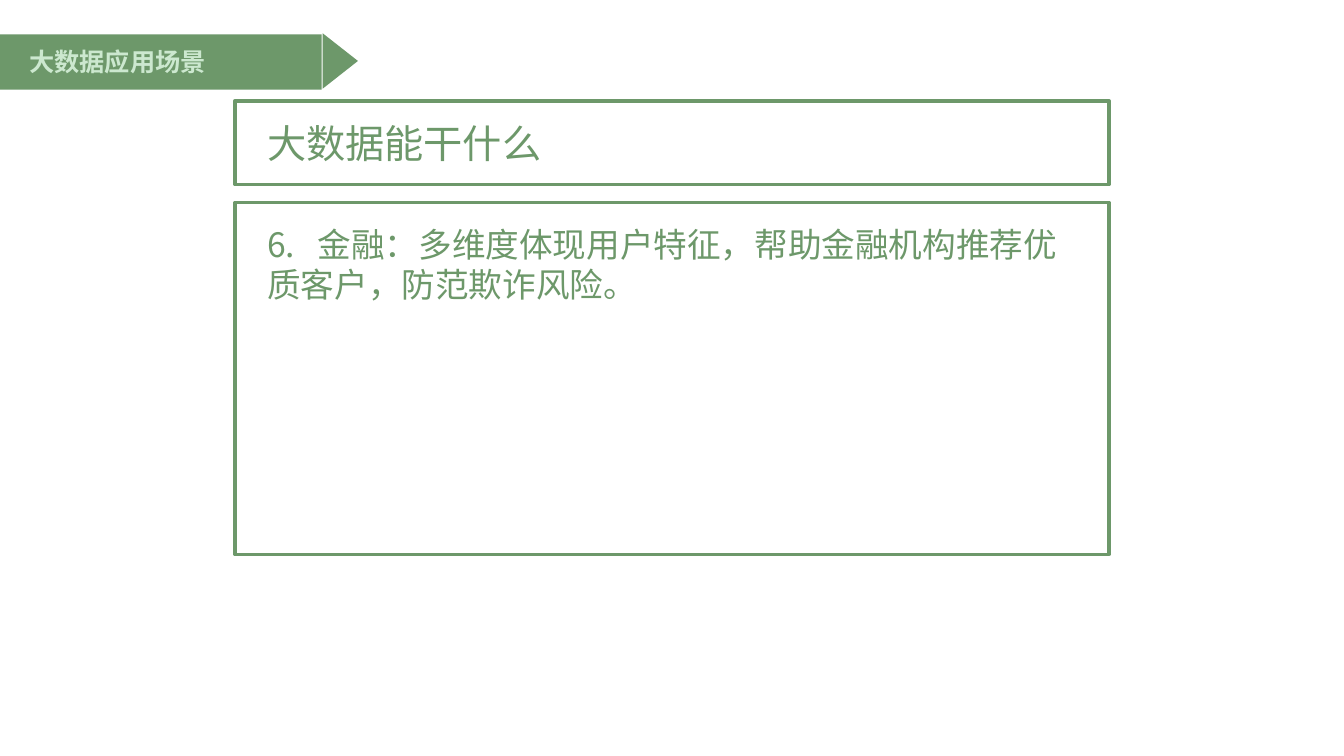
"""Build the slide on big data application scenarios in finance."""
from lxml import etree
from pptx import Presentation
from pptx.dml.color import RGBColor
from pptx.enum.shapes import MSO_SHAPE
from pptx.enum.text import MSO_ANCHOR, MSO_AUTO_SIZE, PP_ALIGN
from pptx.oxml.ns import qn
from pptx.util import Inches, Pt

RECT, TRIANGLE = MSO_SHAPE.RECTANGLE, MSO_SHAPE.ISOSCELES_TRIANGLE
TOP, MIDDLE = MSO_ANCHOR.TOP, MSO_ANCHOR.MIDDLE
LEFT, NO_FIT = PP_ALIGN.LEFT, MSO_AUTO_SIZE.NONE

FONT = "Noto Sans CJK SC"
COLORS = {"green": "6D986A", "mint": "CCE8CF"}
BANNER = "大数据应用场景"
TITLE = "大数据能干什么"
BODY = "6.\t金融：多维度体现用户特征，帮助金融机构推荐优质客户，防范欺诈风险。"
NUMBER_TAB = 0.43

BANNER_PARTS = [(RECT, (0, 0.34, 3.19, 0.55), 0), (TRIANGLE, (3.1, 0.43, 0.55, 0.35), 90)]
BANNER_BOX = (0.24, 0.41, 2.71, 0.4)
TITLE_BOX = (2.6, 1.13, 6.87, 0.57)
BODY_BOX = (2.6, 2.17, 8.19, 0.91)
FRAMES = [(2.33, 2.01, 8.67, 3.49), (2.33, 1, 8.67, 0.83)]


def color(name):
    return RGBColor.from_string(COLORS[name])


def inches(box):
    return [Inches(v) for v in box]


def write(sp, box, text, size, tint, bold=False, anchor=TOP):
    sp.left, sp.top, sp.width, sp.height = inches(box)
    tf = sp.text_frame
    tf.text = text
    tf.word_wrap, tf.auto_size, tf.vertical_anchor = True, NO_FIT, anchor
    tf.margin_left = tf.margin_right = tf.margin_top = tf.margin_bottom = Inches(0.05)
    p = tf.paragraphs[0]
    p.alignment, p.space_before = LEFT, Pt(0)
    r = p.runs[0]
    r.font.name, r.font.size, r.font.bold = FONT, Pt(size), bold
    r.font.color.rgb = color(tint)
    etree.SubElement(r.font._element, qn("a:ea"), typeface=FONT)
    return p


def number_with_tab(p, position):
    pPr = p._p.get_or_add_pPr()
    pPr.set("marL", "0")
    pPr.set("indent", "0")
    etree.SubElement(pPr, qn("a:buNone"))
    tabs = etree.SubElement(pPr, qn("a:tabLst"))
    etree.SubElement(tabs, qn("a:tab"), pos=str(Inches(position)), algn="l")


def main():
    prs = Presentation()
    prs.slide_width, prs.slide_height = Inches(13.33), Inches(7.5)
    s = prs.slides.add_slide(prs.slide_layouts[1])

    banner = s.shapes.add_group_shape()
    for kind, box, angle in BANNER_PARTS:
        sp = banner.shapes.add_shape(kind, *inches(box))
        sp.rotation = angle
        sp.shadow.inherit = False
        sp.fill.solid()
        sp.fill.fore_color.rgb = color("green")
        sp.line.fill.background()

    for box in FRAMES:
        sp = s.shapes.add_shape(RECT, *inches(box))
        sp.shadow.inherit = False
        sp.fill.background()
        sp.line.color.rgb = color("green")
        sp.line.width = Pt(2.5)

    label = s.shapes.add_textbox(*inches(BANNER_BOX))
    write(label, BANNER_BOX, BANNER, 18, "mint", bold=True, anchor=MIDDLE)
    write(s.shapes.title, TITLE_BOX, TITLE, 28, "green")
    p = write(s.placeholders[1], BODY_BOX, BODY, 24, "green")
    number_with_tab(p, NUMBER_TAB)

    prs.save("out.pptx")


if __name__ == "__main__":
    main()
